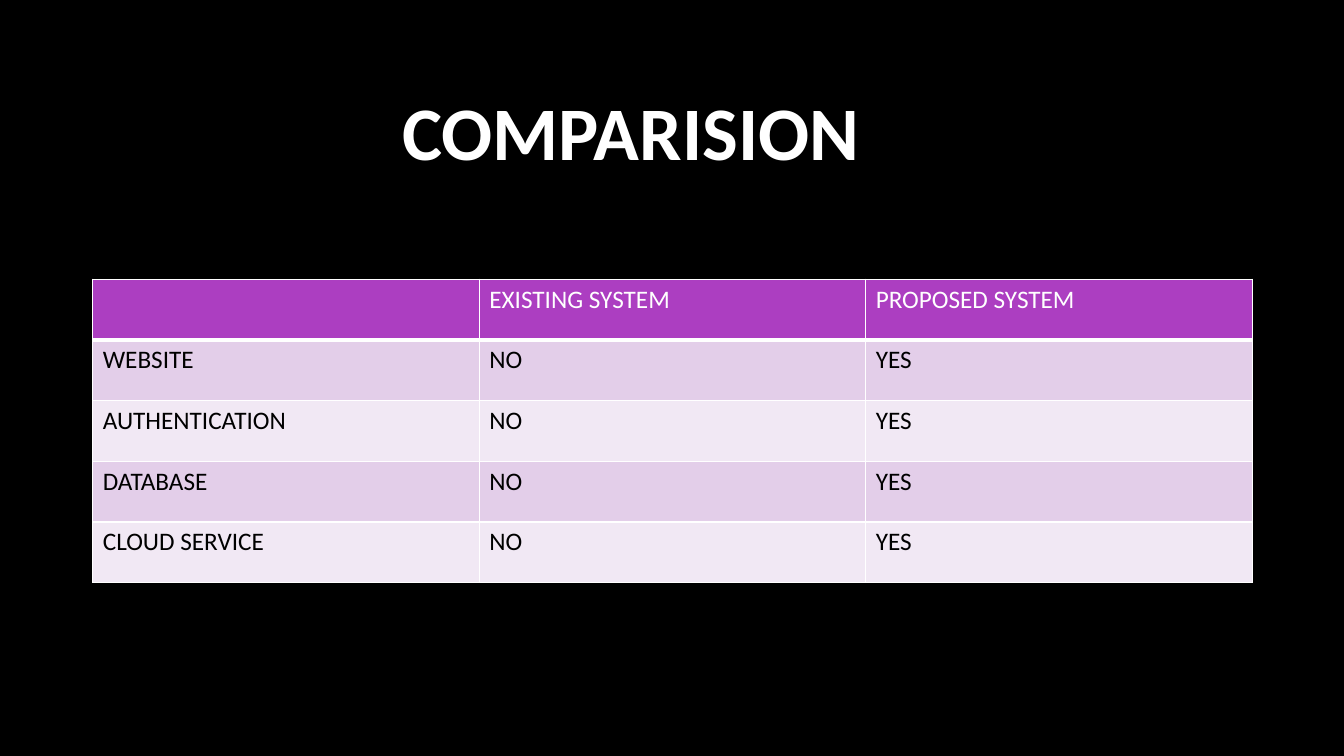
from lxml.etree import SubElement
from pptx import Presentation
from pptx.dml.color import RGBColor
from pptx.enum.text import MSO_ANCHOR
from pptx.oxml.ns import qn
from pptx.util import Inches, Pt

BLACK = RGBColor(0x00, 0x00, 0x00)
WHITE = RGBColor(0xFF, 0xFF, 0xFF)
PURPLE = RGBColor(0xAC, 0x3E, 0xC1)
LILAC = RGBColor(0xE3, 0xCE, 0xE9)
PALE_LILAC = RGBColor(0xF1, 0xE8, 0xF4)
FONT = "Calibri"


def add_border(cell, side, width):
    line = SubElement(cell._tc.get_or_add_tcPr(), qn(f"a:ln{side}"), w=str(Pt(width)))
    fill = SubElement(line, qn("a:solidFill"))
    SubElement(fill, qn("a:srgbClr"), val=str(WHITE))


def style_paragraph(paragraph, size, color, bold):
    paragraph.font.name = FONT
    paragraph.font.size = Pt(size)
    paragraph.font.color.rgb = color
    paragraph.font.bold = bold


presentation = Presentation()
presentation.slide_width = Inches(13.33)
presentation.slide_height = Inches(7.5)
slide = presentation.slides.add_slide(presentation.slide_layouts[6])
slide.background.fill.solid()
slide.background.fill.fore_color.rgb = BLACK

title = slide.shapes.add_textbox(Inches(3.89), Inches(0.77), Inches(11.08), Inches(1.05))
title.text_frame.word_wrap = True
title.text_frame.vertical_anchor = MSO_ANCHOR.MIDDLE
title.text_frame.text = "COMPARISION"
style_paragraph(title.text_frame.paragraphs[0], 54, WHITE, True)

rows = [["", "EXISTING SYSTEM", "PROPOSED SYSTEM"]]
for feature in ["WEBSITE", "AUTHENTICATION", "DATABASE", "CLOUD SERVICE"]:
    rows.append([feature, "NO", "YES"])

table = slide.shapes.add_table(
    len(rows), len(rows[0]), Inches(0.92), Inches(2.77), Inches(11.5), Inches(3.01)
).table

for row_index, row in enumerate(rows):
    is_header = row_index == 0
    if is_header:
        background, color = PURPLE, WHITE
    else:
        background, color = (LILAC if row_index % 2 else PALE_LILAC), BLACK
    for column_index, text in enumerate(row):
        cell = table.cell(row_index, column_index)
        cell.text = text
        style_paragraph(cell.text_frame.paragraphs[0], 18, color, False)
        for side in "LRTB":
            thick = (is_header and side == "B") or (row_index == 1 and side == "T")
            add_border(cell, side, 3 if thick else 1)
        cell.fill.solid()
        cell.fill.fore_color.rgb = background

presentation.save("out.pptx")
